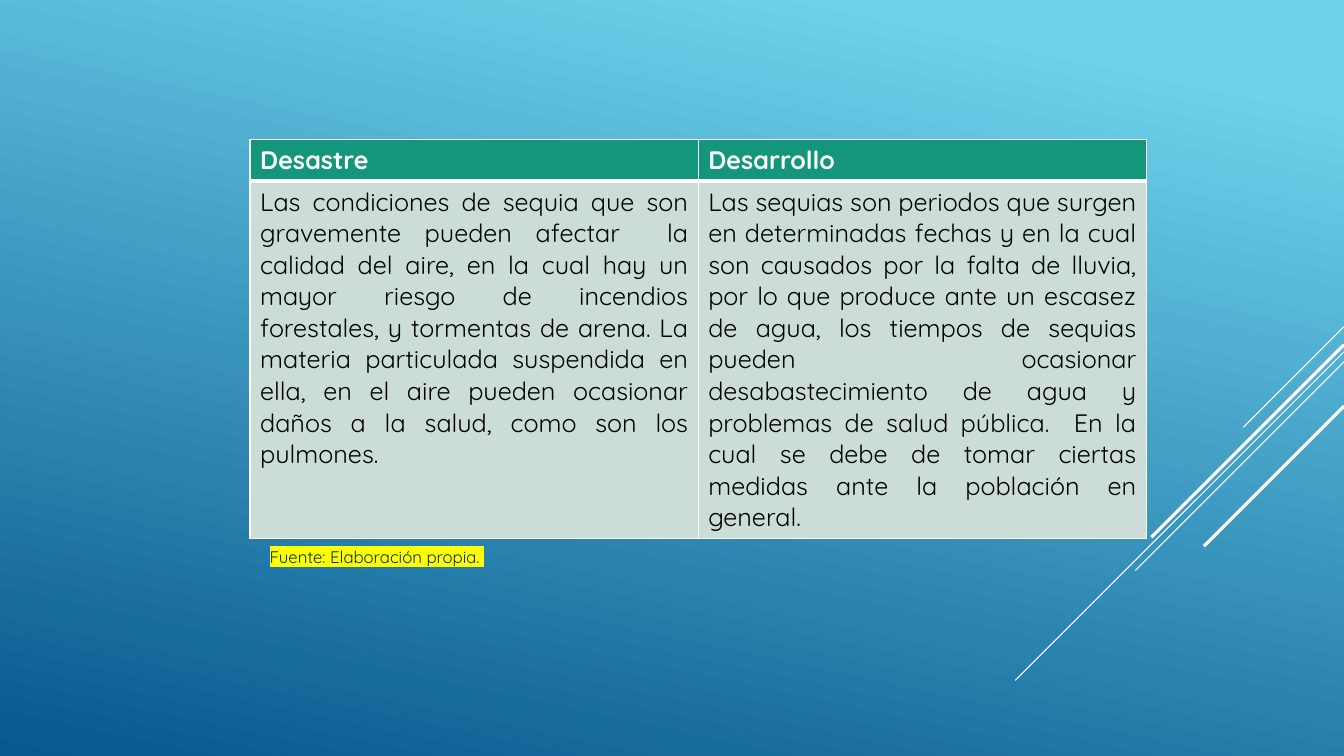
import pptx
import pptx.dml.color
import pptx.enum.shapes
import pptx.enum.text
import pptx.oxml
import pptx.oxml.ns
import pptx.util
import lxml.etree

Inches = pptx.util.Inches
Pt = pptx.util.Pt
qn = pptx.oxml.ns.qn
ALIGN = pptx.enum.text.PP_ALIGN


def rgb(value):
    return pptx.dml.color.RGBColor.from_string(value)


def write(paragraph, text, color, alignment, font_values):
    paragraph.alignment = alignment
    run = paragraph.add_run()
    run.text = text
    run.font.color.rgb = rgb(color)
    for name, value in font_values.items():
        setattr(run.font, name, value)
    return run


deck = pptx.Presentation()
deck.slide_width = Inches(13.33)
deck.slide_height = Inches(7.5)
slide = deck.slides.add_slide(deck.slide_layouts[6])

# Background gradient, light at the top and dark at the bottom left
backdrop = slide.background.fill
backdrop.gradient()
backdrop.gradient_angle = 360 - 102
for stop, (position, color) in zip(backdrop.gradient_stops, [(0.1, "6ED2EB"), (1, "06588E")]):
    stop.position = position
    stop.color.rgb = rgb(color)

# Diagonal lines at 45 degrees from the right edge: top, run, width
diagonals = [(3.24, 1, 0.75), (3.49, 3.26, 0.75), (3.59, 2.07, 0.75),
             (3.42, 1.91, 2.25), (4.03, 1.39, 2.25)]
for top, reach, width in diagonals:
    diagonal = slide.shapes.add_connector(
        pptx.enum.shapes.MSO_CONNECTOR.STRAIGHT,
        Inches(13.33), Inches(top), Inches(13.33 - reach), Inches(top + reach))
    diagonal.line.color.rgb = rgb("FFFFFF")
    diagonal.line.width = Pt(width)
    lxml.etree.SubElement(diagonal._element.spPr, qn("a:effectLst"))

# Comparison table
contents = [
    ["Desastre", "Desarrollo"],
    ["Las condiciones de sequia que son gravemente pueden afectar  la calidad del aire, "
     "en la cual hay un mayor riesgo de incendios forestales, y tormentas de arena. "
     "La materia particulada suspendida en ella, en el aire pueden ocasionar daños a la "
     "salud, como son los pulmones. ",
     "Las sequias son periodos que surgen en determinadas fechas y en la cual son causados "
     "por la falta de lluvia, por lo que produce ante un escasez de agua, los tiempos de "
     "sequias pueden ocasionar desabastecimiento de agua y problemas de salud pública.  "
     "En la cual se debe de tomar ciertas medidas ante la población en general. "],
]
row_formats = [
    {"height": 0.41, "fill": "14967C", "color": "FFFFFF", "bold": True,
     "align": ALIGN.LEFT, "borders": {"lnL": 1, "lnR": 1, "lnT": 1, "lnB": 3}},
    {"height": 3.55, "fill": "CCDDD7", "color": "000000", "bold": False,
     "align": ALIGN.JUSTIFY, "borders": {"lnL": 1, "lnR": 1, "lnT": 3, "lnB": 1}},
]
comparison = slide.shapes.add_table(
    2, 2, Inches(2.48), Inches(1.38), Inches(8.89), Inches(3.96)).table

for row, texts, style in zip(comparison.rows, contents, row_formats):
    row.height = Inches(style["height"])
    for cell, text in zip(row.cells, texts):
        # Borders come before the fill in the cell properties
        properties = cell._tc.get_or_add_tcPr()
        for side, width in style["borders"].items():
            border = lxml.etree.SubElement(properties, qn("a:" + side), w=str(Pt(width)))
            paint = lxml.etree.SubElement(border, qn("a:solidFill"))
            lxml.etree.SubElement(paint, qn("a:srgbClr"), val="FFFFFF")
        cell.fill.solid()
        cell.fill.fore_color.rgb = rgb(style["fill"])
        write(cell.text_frame.paragraphs[0], text, style["color"], style["align"],
              {"name": "Quicksand", "size": Pt(18), "bold": style["bold"]})

# Highlighted source line
source = slide.shapes.add_textbox(Inches(2.48), Inches(5.37), Inches(2.52), Inches(0.3))
source.text_frame.word_wrap = False
source.text_frame.auto_size = pptx.enum.text.MSO_AUTO_SIZE.SHAPE_TO_FIT_TEXT
credit = write(source.text_frame.paragraphs[0], "Fuente: Elaboración propia. ", "052F61",
               ALIGN.CENTER, {"name": "Quicksand", "size": Pt(12)})
highlight = pptx.oxml.parse_xml(
    '<a:highlight xmlns:a="http://schemas.openxmlformats.org/drawingml/2006/main">'
    '<a:srgbClr val="FFFF00"/></a:highlight>')
credit.font._element.find(qn("a:solidFill")).addnext(highlight)

deck.save("out.pptx")
